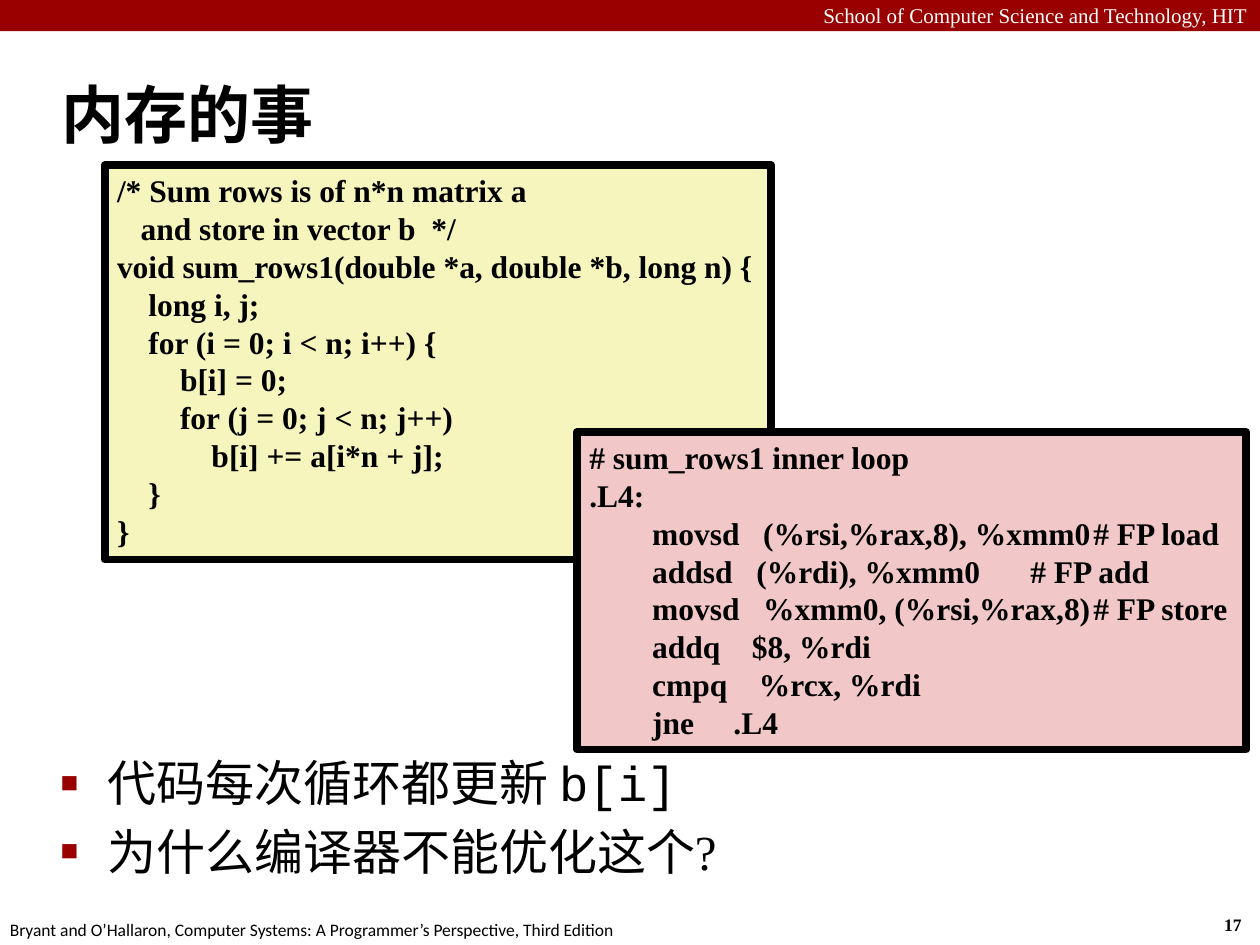
from lxml.etree import SubElement
from pptx import Presentation
from pptx.dml.color import RGBColor
from pptx.enum.shapes import MSO_SHAPE as Shape
from pptx.enum.text import MSO_ANCHOR as Anchor, MSO_AUTO_SIZE as AutoSize, PP_ALIGN as Align
from pptx.oxml.ns import qn
from pptx.util import Cm, Pt

SERIF, SANS, MONO = "Times New Roman", "Calibri", "Courier New"
RED, BLACK, WHITE = "990000", "000000", "FFFFFF"
YELLOW, PINK = "F6F5BD", "F1C7C7"

SUM_ROWS_C = """/* Sum rows is of n*n matrix a
   and store in vector b  */
void sum_rows1(double *a, double *b, long n) {
    long i, j;
    for (i = 0; i < n; i++) {
\tb[i] = 0;
\tfor (j = 0; j < n; j++)
\t    b[i] += a[i*n + j];
    }
}"""

INNER_LOOP_ASM = """# sum_rows1 inner loop
.L4:
        movsd   (%rsi,%rax,8), %xmm0\t# FP load
        addsd   (%rdi), %xmm0\t# FP add
        movsd   %xmm0, (%rsi,%rax,8)\t# FP store
        addq    $8, %rdi
        cmpq    %rcx, %rdi
        jne     .L4"""


def color(hex_string):
    return RGBColor.from_string(hex_string)


class SlideBuilder:
    def __init__(self, slide):
        self.slide = slide

    def run(self, paragraph, text, size, font=SERIF, ink=BLACK, bold=False):
        run = paragraph.add_run()
        run.text = text
        run.font.size = Pt(size)
        run.font.name = font
        run.font.bold = bold
        run.font.color.rgb = color(ink)

    def place(self, shape, left, top, width, height):
        shape.left, shape.top = Cm(left), Cm(top)
        shape.width, shape.height = Cm(width), Cm(height)

    def rectangle(self, box, fill):
        shape = self.slide.shapes.add_shape(Shape.RECTANGLE, *map(Cm, box))
        shape.shadow.inherit = False
        shape.fill.solid()
        shape.fill.fore_color.rgb = color(fill)
        shape.line.fill.background()
        return shape

    def label(self, box, text, size, wrap=False, align=Align.LEFT, **style):
        frame = self.slide.shapes.add_textbox(*map(Cm, box)).text_frame
        frame.word_wrap = wrap
        frame.auto_size = AutoSize.SHAPE_TO_FIT_TEXT
        paragraph = frame.paragraphs[0]
        paragraph.alignment = align
        self.run(paragraph, text, size, **style)

    def title(self, box, text):
        title = self.slide.shapes.title
        self.place(title, *box)
        frame = title.text_frame
        frame.auto_size = AutoSize.NONE
        frame.vertical_anchor = Anchor.MIDDLE
        paragraph = frame.paragraphs[0]
        paragraph.alignment = Align.LEFT
        self.run(paragraph, text, 36, SANS, bold=True)

    def bullet(self, paragraph):
        properties = paragraph._p.get_or_add_pPr()
        properties.set("marL", str(Cm(0.95)))
        properties.set("indent", str(-Cm(0.95)))
        bullet_color = SubElement(properties, qn("a:buClr"))
        SubElement(bullet_color, qn("a:srgbClr"), val=RED)
        SubElement(properties, qn("a:buSzPct"), val="60000")
        SubElement(properties, qn("a:buChar"), char="■")

    def bullets(self, box, items):
        body = self.slide.placeholders[1]
        self.place(body, *box)
        frame = body.text_frame
        frame.auto_size = AutoSize.NONE
        for index, item in enumerate(items):
            paragraph = frame.add_paragraph() if index else frame.paragraphs[0]
            self.bullet(paragraph)
            paragraph.space_before = Pt(5.6 if index else 0)
            for text, font in item:
                self.run(paragraph, text, 28, font)

    def code(self, box, source, fill):
        panel = self.rectangle(box, fill)
        panel.line.color.rgb = color(BLACK)
        panel.line.width = Pt(4.5)
        frame = panel.text_frame
        frame.word_wrap = False
        frame.auto_size = AutoSize.SHAPE_TO_FIT_TEXT
        frame.vertical_anchor = Anchor.TOP
        for index, line in enumerate(source.splitlines()):
            paragraph = frame.add_paragraph() if index else frame.paragraphs[0]
            paragraph.alignment = Align.LEFT
            self.run(paragraph, line, 18, bold=True)


def main():
    deck = Presentation()
    deck.slide_width, deck.slide_height = Cm(25.4), Cm(19.05)
    page = SlideBuilder(deck.slides.add_slide(deck.slide_layouts[1]))

    page.rectangle((0, 0, 25.4, 0.63), RED)
    page.label((0, -0.08, 25.4, 0.77), "School of Computer Science and Technology, HIT",
               12, wrap=True, align=Align.RIGHT, ink=WHITE)
    page.label((24.43, 18.31, 0.95, 0.68), "17", 10, bold=True)
    page.label((-0.05, 18.41, 12.9, 0.68),
               "Bryant and O’Hallaron, Computer Systems: A Programmer’s Perspective, Third Edition",
               10, font=SANS)

    page.title((0.99, 1.22, 24.41, 2.11), "内存的事")
    page.bullets((0.97, 15.04, 23.09, 2.82), [
        [("代码每次循环都更新 ", SERIF), ("b[i]", MONO)],
        [("为什么编译器不能优化这个?", SERIF)],
    ])
    page.code((2.11, 3.33, 13.44, 7.95), SUM_ROWS_C, YELLOW)
    page.code((11.63, 8.71, 13.49, 6.4), INNER_LOOP_ASM, PINK)

    deck.save("out.pptx")


if __name__ == "__main__":
    main()
